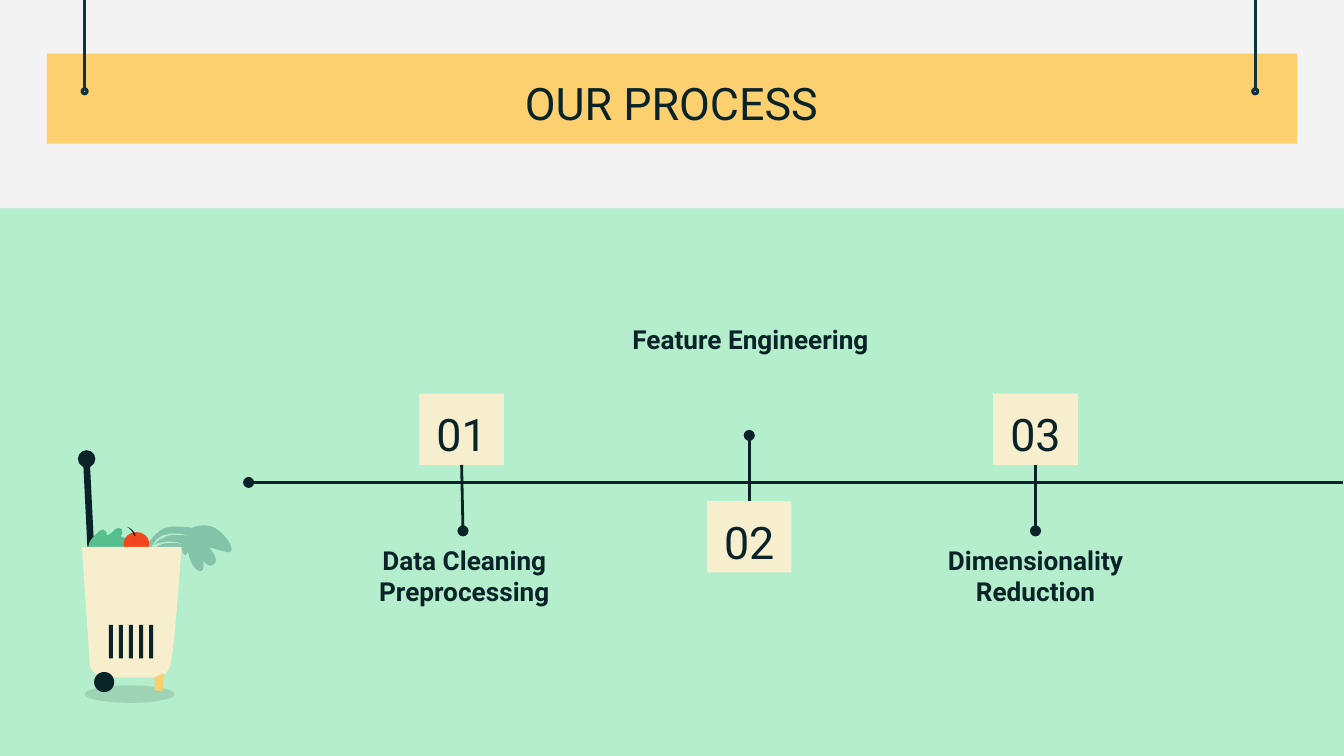
from dataclasses import dataclass

from lxml import etree
from pptx import Presentation
from pptx.dml.color import RGBColor
from pptx.enum.shapes import MSO_CONNECTOR, MSO_SHAPE
from pptx.enum.text import MSO_ANCHOR, PP_ALIGN
from pptx.oxml.ns import qn
from pptx.util import Inches, Pt

RECTANGLE = MSO_SHAPE.RECTANGLE
OVAL = MSO_SHAPE.OVAL
DONUT = MSO_SHAPE.DONUT
STRAIGHT = MSO_CONNECTOR.STRAIGHT
TOP, MIDDLE = MSO_ANCHOR.TOP, MSO_ANCHOR.MIDDLE
CENTER = PP_ALIGN.CENTER
TOP_SIDE, BOTTOM_SIDE = 0, 2


@dataclass(frozen=True)
class Theme:
    font: str = "Roboto"
    heading: int = 24
    label: int = 14
    stroke: float = 1.5
    background: str = "F3F3F3"
    mint: str = "B5EECC"
    yellow: str = "FCD06F"
    cream: str = "F7EECE"
    ink: str = "092329"
    pin: str = "0C343D"
    leaf: str = "83C3A9"
    lettuce: str = "57BF8E"
    tomato: str = "F1471D"


THEME = Theme()

LEEK = [
    (1.51, 3.91), (1.46, 3.91, 1.43, 3.93, 1.43, 3.93),
    (1.43, 3.93, 1.42, 3.92, 1.31, 3.92), (1.3, 3.92, 1.29, 3.92, 1.28, 3.92),
    (1.15, 3.92, 1.08, 4.09, 1.08, 4.09), (1.08, 4.13, 1.1, 4.14, 1.13, 4.14),
    (1.18, 4.14, 1.25, 4.09, 1.25, 4.09), (1.25, 4.09, 1.31, 4.07, 1.35, 4.07),
    (1.36, 4.12, 1.37, 4.13, 1.38, 4.13), (1.39, 4.13, 1.4, 4.1, 1.4, 4.1),
    (1.4, 4.14, 1.44, 4.25, 1.49, 4.25), (1.53, 4.25, 1.51, 4.17, 1.51, 4.17),
    (1.51, 4.17, 1.54, 4.21, 1.57, 4.21), (1.58, 4.21, 1.59, 4.2, 1.6, 4.19),
    (1.63, 4.15, 1.55, 4.07, 1.55, 4.07), (1.55, 4.07, 1.64, 4.1, 1.7, 4.11),
    (1.76, 4.11, 1.7, 3.99, 1.6, 3.93), (1.56, 3.91, 1.53, 3.91, 1.51, 3.91),
]
LEEK_VEIN = [
    (1.3, 3.97), (1.28, 3.97, 1.26, 3.97, 1.24, 3.98),
    (1.23, 3.98, 1.22, 3.98, 1.22, 3.98), (1.2, 3.99),
    (1.18, 4, 1.17, 4.01, 1.16, 4.02), (1.14, 4.05),
    (1.13, 4.06, 1.12, 4.08, 1.12, 4.09), (1.13, 4.07, 1.15, 4.05, 1.17, 4.03),
    (1.18, 4.02, 1.19, 4.01, 1.2, 4.01), (1.24, 3.99),
    (1.27, 3.98, 1.29, 3.98, 1.32, 3.98), (1.35, 3.98, 1.38, 3.98, 1.4, 3.99),
    (1.38, 3.98, 1.35, 3.97, 1.3, 3.97),
]
LETTUCE = [
    (0.88, 3.93), (0.85, 3.93, 0.83, 3.98, 0.8, 3.98), (0.79, 3.98),
    (0.8, 3.97, 0.79, 3.95, 0.78, 3.95), (0.78, 3.95, 0.77, 3.94, 0.77, 3.94),
    (0.75, 3.94, 0.73, 3.96, 0.72, 3.97), (0.68, 4.01, 0.65, 4.04, 0.66, 4.09),
    (0.66, 4.1, 0.69, 4.14, 0.74, 4.15), (0.76, 4.15, 0.78, 4.15, 0.81, 4.15),
    (0.87, 4.15, 0.93, 4.14, 0.96, 4.11), (0.98, 4.09, 0.98, 4.05, 0.97, 4.03),
    (0.95, 4.01, 0.94, 4.01, 0.92, 4), (0.89, 3.99, 0.9, 3.99, 0.91, 3.97),
    (0.91, 3.94, 0.91, 3.93, 0.88, 3.93),
]
STALK = [
    (0.94, 3.92), (0.98, 3.93, 1, 3.99, 1, 3.99), (1.01, 3.99),
    (1.01, 3.98, 0.99, 3.93, 0.94, 3.92),
]
CART_BODY = [
    (0.61, 4.07), (0.67, 4.95), (0.67, 4.95, 0.68, 5.04, 0.81, 5.04), (1.15, 5.04),
    (1.15, 5.04, 1.16, 5.04, 1.17, 5.04), (1.2, 5.04, 1.27, 5.02, 1.28, 4.88),
    (1.31, 4.69, 1.35, 4.07, 1.35, 4.07),
]
HANDLE = [(0.62, 3.46), (0.65, 4.07), (0.7, 4.07), (0.67, 3.46)]
CART_FOOT = [(1.22, 5.01), (1.15, 5.04), (1.15, 5.14), (1.21, 5.14)]


def write_text(shape, text, size=THEME.label, bold=False, anchor=TOP):
    frame = shape.text_frame
    frame.word_wrap = True
    frame.vertical_anchor = anchor
    frame.margin_left = frame.margin_right = Inches(0.1)
    frame.margin_top = frame.margin_bottom = Inches(0.1)
    paragraph = frame.paragraphs[0]
    paragraph.alignment = CENTER
    run = paragraph.add_run()
    run.text = text
    run.font.name = THEME.font
    run.font.size = Pt(size)
    run.font.bold = bold
    run.font.color.rgb = RGBColor.from_string(THEME.ink)


def flatten(outline, steps=8):
    points = [outline[0]]
    for segment in outline[1:]:
        if len(segment) == 2:
            points.append(segment)
            continue
        x0, y0 = points[-1]
        x1, y1, x2, y2, x3, y3 = segment
        for step in range(1, steps + 1):
            t = step / steps
            a, b, c, d = (1 - t) ** 3, 3 * t * (1 - t) ** 2, 3 * t * t * (1 - t), t ** 3
            points.append((a * x0 + b * x1 + c * x2 + d * x3,
                           a * y0 + b * y1 + c * y2 + d * y3))
    return [(Inches(x), Inches(y)) for x, y in points]


class SlideBuilder:
    def __init__(self, slide):
        self.slide = slide
        self.shapes = slide.shapes
        fill = slide.background.fill
        fill.solid()
        fill.fore_color.rgb = RGBColor.from_string(THEME.background)

    def begin_group(self):
        self.shapes = self.slide.shapes.add_group_shape().shapes

    def paint(self, shape, color, alpha=None):
        shape.shadow.inherit = False
        shape.fill.solid()
        shape.fill.fore_color.rgb = RGBColor.from_string(color)
        shape.line.fill.background()
        if alpha is not None:
            solid_fill = shape._element.spPr.find(qn("a:solidFill"))
            etree.SubElement(solid_fill[0], qn("a:alpha")).set("val", str(alpha * 1000))
        return shape

    def preset(self, kind, left, top, width, height, color, alpha=None):
        shape = self.shapes.add_shape(
            kind, Inches(left), Inches(top), Inches(width), Inches(height))
        return self.paint(shape, color, alpha)

    def outline(self, outline, color):
        points = flatten(outline)
        builder = self.shapes.build_freeform(*points[0])
        builder.add_line_segments(points[1:], close=True)
        return self.paint(builder.convert_to_shape(), color)

    def text(self, text, left, top, width, height, **text_format):
        shape = self.shapes.add_textbox(
            Inches(left), Inches(top), Inches(width), Inches(height))
        write_text(shape, text, **text_format)

    def line(self, start, end, color=THEME.ink, dot=False):
        connector = self.shapes.add_connector(
            STRAIGHT, *(Inches(value) for value in (*start, *end)))
        connector.line.color.rgb = RGBColor.from_string(color)
        connector.line.width = Pt(THEME.stroke)
        if dot:
            line_element = connector._element.spPr.find(qn("a:ln"))
            etree.SubElement(line_element, qn("a:headEnd")).set("type", "oval")
        etree.SubElement(connector._element.spPr, qn("a:effectLst"))
        return connector

    def step(self, number, label, box, label_at, stem_y, side, lean=0):
        left, top = box
        width = 0.63
        shape = self.preset(RECTANGLE, left, top, width, 0.53, THEME.cream)
        write_text(shape, number, size=THEME.heading)
        stem = self.line((left + width / 2 + lean, stem_y), box, dot=True)
        stem.end_connect(shape, side)
        self.text(label, *label_at, 2.37, 0.87, bold=True)

    def pin(self, x):
        self.line((x, 0), (x, 0.68), THEME.pin)
        ring = self.preset(DONUT, x - 0.03, 0.65, 0.06, 0.06, THEME.pin)
        ring.adjustments[0] = 0.4

    def cart(self):
        self.begin_group()
        self.outline(HANDLE, THEME.ink)
        self.outline(LEEK, THEME.leaf)
        for dx, dy in ((0, 0), (-0.04, 0.06)):
            self.outline([tuple(value + (dx, dy)[index % 2]
                                for index, value in enumerate(segment))
                          for segment in LEEK_VEIN], THEME.mint)
        self.outline(LETTUCE, THEME.lettuce)
        self.preset(OVAL, 0.92, 3.96, 0.19, 0.17, THEME.tomato)
        self.outline(STALK, THEME.ink)
        self.outline(CART_BODY, THEME.cream)
        self.preset(OVAL, 0.58, 3.35, 0.13, 0.13, THEME.ink)
        self.preset(OVAL, 0.63, 5.1, 0.67, 0.13, THEME.ink, alpha=13)
        self.preset(OVAL, 0.7, 5, 0.15, 0.15, THEME.ink)
        self.outline(CART_FOOT, THEME.yellow)
        for bar in range(5):
            self.preset(RECTANGLE, 0.81 + bar * 0.3 / 4, 4.65, 0.03, 0.25, THEME.ink)


def main():
    presentation = Presentation()
    presentation.slide_width = Inches(10)
    presentation.slide_height = Inches(10 * 9 / 16)
    builder = SlideBuilder(presentation.slides.add_slide(presentation.slide_layouts[6]))

    builder.preset(RECTANGLE, -0.03, 1.55, 10.05, 4.08, THEME.mint)
    builder.preset(RECTANGLE, 0.35, 0.4, 9.3, 0.67, THEME.yellow)
    for x in (0.63, 9.34):
        builder.pin(x)
    builder.text("OUR PROCESS", 1.5, 0.45, 6.99, 0.63, size=THEME.heading, anchor=MIDDLE)

    builder.step("01", "Data Cleaning Preprocessing",
                 (3.12, 2.93), (2.27, 3.95), 3.95, BOTTOM_SIDE, lean=0.01)
    builder.step("02", "Feature Engineering",
                 (5.26, 3.73), (4.4, 2.31), 3.24, TOP_SIDE)
    builder.step("03", "Dimensionality Reduction",
                 (7.39, 2.93), (6.52, 3.95), 3.95, BOTTOM_SIDE)
    builder.line((1.85, 3.59), (9.99, 3.59), dot=True)
    builder.cart()

    presentation.save("out.pptx")


if __name__ == "__main__":
    main()
